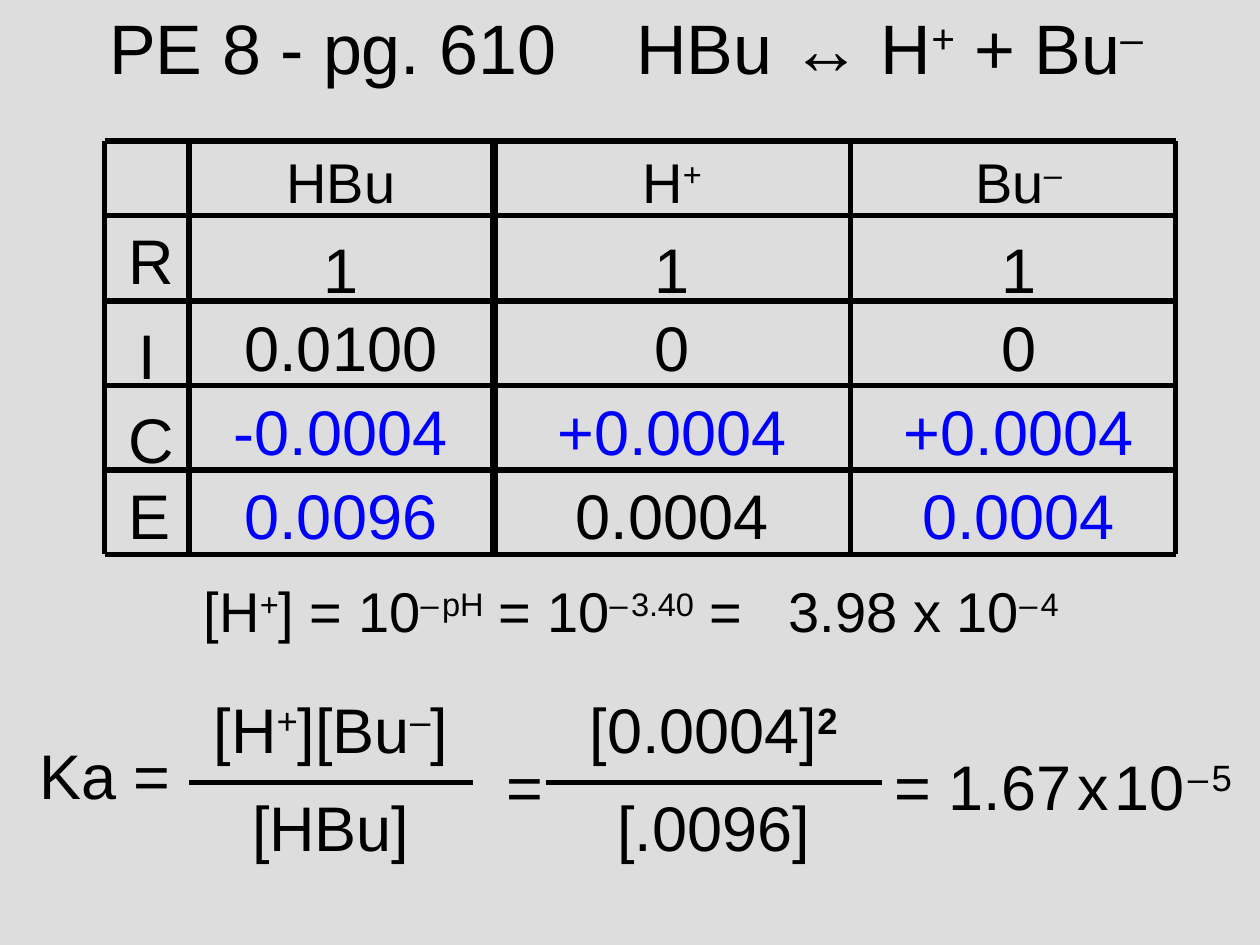
import pptx
import pptx.util
import pptx.dml.color
import pptx.enum.shapes
import pptx.enum.text
import pptx.oxml.ns
from lxml import etree

Inches, Pt = pptx.util.Inches, pptx.util.Pt
RGBColor = pptx.dml.color.RGBColor
ALIGN = pptx.enum.text.PP_ALIGN
ANCHOR = pptx.enum.text.MSO_ANCHOR
qn = pptx.oxml.ns.qn

BLACK = RGBColor(0x00, 0x00, 0x00)
BLUE = RGBColor(0x00, 0x00, 0xFF)
GREY = RGBColor(0xDD, 0xDD, 0xDD)
FONT = "Arial"

# Content: ^ turns superscript on and off, ~ is a narrow space
TITLE = "PE 8 - pg. 610\tHBu ↔ H^+^ + Bu^–"
HEADS = ["HBu", "H^+", "Bu^–"]
# Row label, its top, top of the values, values, columns in blue
ROWS = [
    ("R", 1.71, 1.78, ["1", "1", "1"], ()),
    ("I", 2.46, 2.40, ["0.0100", "0", "0"], ()),
    ("C", 3.13, 3.07, ["-0.0004", "+0.0004", "+0.0004"], (0, 1, 2)),
    ("E", 3.73, 3.73, ["0.0096", "0.0004", "0.0004"], (0, 2)),
]
ACID = "[H^+^] = 10^–~pH^ = 10^–~3.40^ =\t3.98 x 10^–~4"
# Upper part, lower part, left, width
RATIOS = [
    ("[H^+^][Bu^–^]", "[HBu]", 1.5, 2.25),
    ("[0.0004]^2", "[.0096]", 4.33, 2.67),
]
# Text, left, top, width, alignment
TERMS = [
    ("Ka =", 0.17, 5.8, 1.33, ALIGN.CENTER),
    ("=", 3.92, 5.88, 0.5, ALIGN.CENTER),
    ("= 1.67~x~10^~–~5", 7, 5.88, 3, ALIGN.LEFT),
]

# Grid of the table
COLS = [0.83, 1.5, 3.92, 6.75, 9.33]
LINES = [1.12, 1.71, 2.39, 3.06, 3.73, 4.4]
LABEL = (0.92, 0.5)
CELLS = [(1.58, 2.25), (4, 2.67), (6.92, 2.33)]
BAR = 6.21

deck = pptx.Presentation()
deck.slide_width, deck.slide_height = Inches(10), Inches(7.5)
slide = deck.slides.add_slide(deck.slide_layouts[6])
slide.background.fill.solid()
slide.background.fill.fore_color.rgb = GREY


def line(x1, y1, x2, y2, width=3):
    rule = slide.shapes.add_connector(
        pptx.enum.shapes.MSO_CONNECTOR.STRAIGHT,
        Inches(x1), Inches(y1), Inches(x2), Inches(y2))
    rule.line.color.rgb = BLACK
    rule.line.width = Pt(width)
    etree.SubElement(rule._element.spPr, qn("a:effectLst"))


def text(words, left, top, width, size=36, color=BLACK,
         align=ALIGN.CENTER, tab=None, high=0.7):
    box = slide.shapes.add_textbox(
        Inches(left), Inches(top), Inches(width), Inches(high))
    frame = box.text_frame
    frame.word_wrap = True
    para = frame.paragraphs[0]
    para.alignment = align
    if tab:
        stops = etree.SubElement(para._p.get_or_add_pPr(), qn("a:tabLst"))
        etree.SubElement(stops, qn("a:tab"), pos=str(Inches(tab)), algn="l")
    para.font.name = FONT
    para.font.size = Pt(size)
    para.font.color.rgb = color
    for i, part in enumerate(words.split("^")):
        for bit in filter(None, part.replace("~", "|~|").split("|")):
            run = para.add_run()
            run.text = bit.replace("~", " ")
            if bit == "~":
                run.font.size = Pt(12)
            if i % 2:
                run._r.get_or_add_rPr().set("baseline", "30000")
    return frame


# Title
head = text(TITLE, 0.77, 0.08, 8.9, 40, align=ALIGN.LEFT, tab=4.18, high=0.58)
head.vertical_anchor = ANCHOR.MIDDLE

# Table rules, with a heavier one after the first value column
for y in LINES:
    line(COLS[0], y, COLS[-1], y)
for i, x in enumerate(COLS):
    line(x, LINES[0], x, LINES[-1], 4.5 if i == 2 else 3)

# Table text
for words, (left, width) in zip(HEADS, CELLS):
    text(words, left, LINES[0], width, 32, high=0.64)
for label, high, low, values, blue in ROWS:
    text(label, LABEL[0], high, LABEL[1])
    for i, (words, (left, width)) in enumerate(zip(values, CELLS)):
        text(words, left, low, width, color=BLUE if i in blue else BLACK)

# Acid concentration
text(ACID, 1.52, 4.53, 7.11, 32, align=ALIGN.LEFT, tab=4.64, high=0.64)

# Equilibrium constant
for upper, lower, left, width in RATIOS:
    over = text(upper, left, BAR - 0.78, width)
    line(left, BAR, left + width, BAR, 2.75)
    text(lower, left, BAR, width)
over.paragraphs[0].runs[-1].font.bold = True
for words, left, top, width, align in TERMS:
    text(words, left, top, width, align=align)

deck.save("out.pptx")
